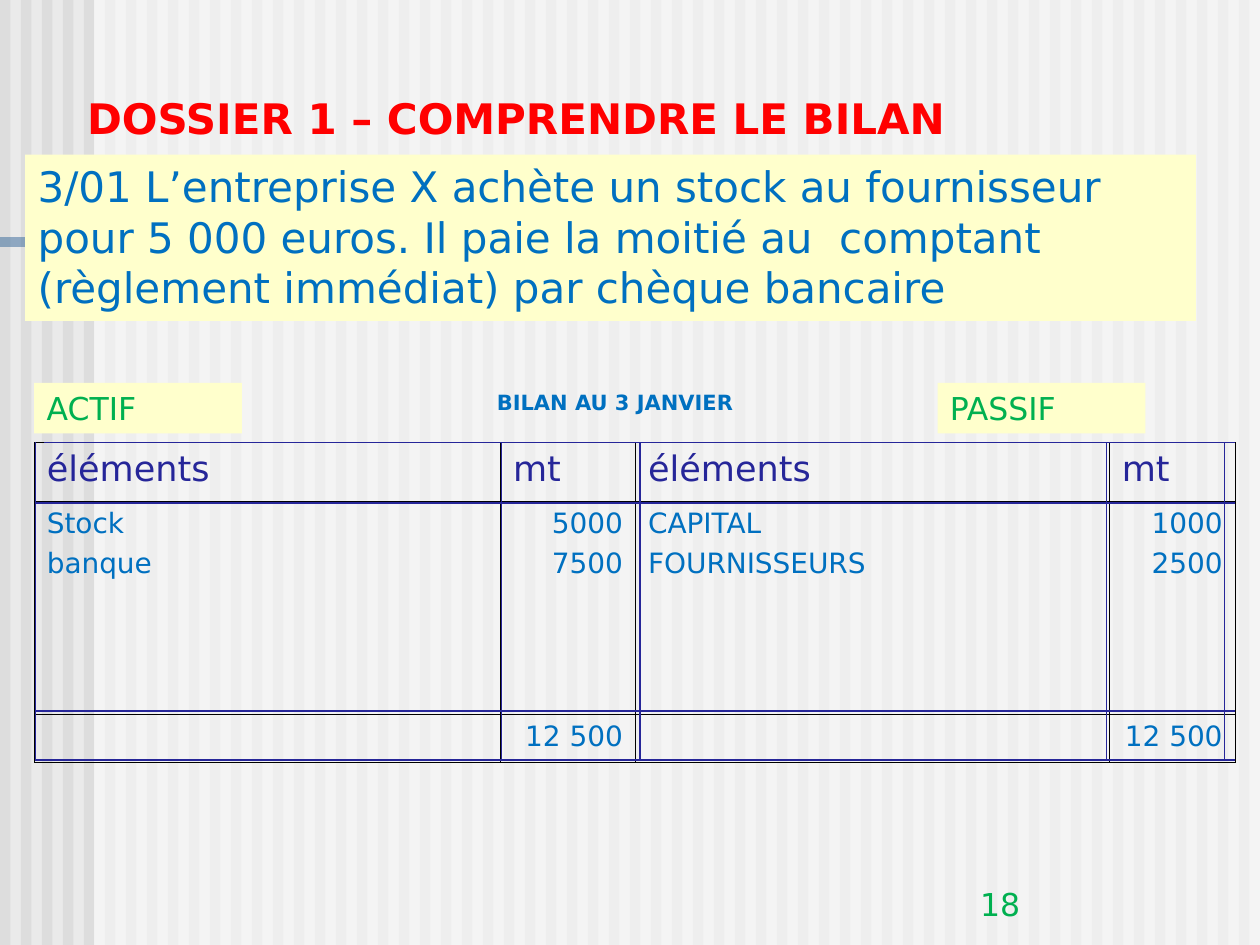
import collections
import dataclasses

import lxml.etree
import pptx
import pptx.dml.color
import pptx.enum.shapes
import pptx.enum.text
import pptx.oxml.ns
import pptx.util

Cm, Pt = pptx.util.Cm, pptx.util.Pt
qn = pptx.oxml.ns.qn
RECT = pptx.enum.shapes.MSO_SHAPE.RECTANGLE
LINE = pptx.enum.shapes.MSO_CONNECTOR.STRAIGHT
LEFT, MID, RIGHT = (pptx.enum.text.PP_ALIGN.LEFT, pptx.enum.text.PP_ALIGN.CENTER,
                    pptx.enum.text.PP_ALIGN.RIGHT)
TOP, LOW = pptx.enum.text.MSO_ANCHOR.TOP, pptx.enum.text.MSO_ANCHOR.BOTTOM

Box = collections.namedtuple("Box", "x y w h")


@dataclasses.dataclass(frozen=True)
class Theme:
    font: str = "DejaVu Sans"
    ground: str = "EAEAEA"
    stripe: str = "DDDDDD"
    veil: str = "FFFFFF"
    bar: str = "336699"
    title: str = "FF0000"
    note: str = "FFFFCC"
    blue: str = "0070C0"
    green: str = "00B050"
    navy: str = "262699"
    edge: str = "000000"
    big: int = 24
    head: int = 20
    label: int = 18
    body: int = 16
    small: int = 12
    rule: float = 0.75
    outer: float = 0.23
    inner: float = 0.11


THEME = Theme()


def rgb(code):
    return pptx.dml.color.RGBColor.from_string(code)


def span(box):
    return [Cm(side) for side in box]


def write(frame, text, size=THEME.body, color=THEME.blue, bold=False,
          align=LEFT, before=0, lead=None):
    """Fill a text frame, one paragraph for each line of text."""
    frame.word_wrap = True
    for i, line in enumerate(text.split("\n")):
        para = frame.add_paragraph() if i else frame.paragraphs[0]
        para.alignment = align
        para.space_before = Pt(before)
        if lead:
            para.line_spacing = lead
        run = para.add_run()
        run.text = line
        font = run.font
        font.name, font.size, font.bold = THEME.font, Pt(size), bold
        font.color.rgb = rgb(color)


def block(shapes, box, color, alpha=None):
    """Add a plain rectangle; alpha is its opacity in percent."""
    shape = shapes.add_shape(RECT, *span(box))
    shape.shadow.inherit = False
    shape.line.fill.background()
    shape.fill.solid()
    shape.fill.fore_color.rgb = rgb(color)
    if alpha is not None:
        tone = shape.element.spPr.find(".//" + qn("a:srgbClr"))
        lxml.etree.SubElement(tone, qn("a:alpha"), val=str(alpha * 1000))
    return shape


def scene(slide, box):
    """Draw the striped ground, its veil and the bar on the left."""
    slide.background.fill.solid()
    slide.background.fill.fore_color.rgb = rgb(THEME.ground)
    group = slide.shapes.add_group_shape()
    count = 60
    step = box.w / count
    for i in range(count):
        block(group.shapes, Box(box.x + i * step, box.y, step / 2, box.h), THEME.stripe)
    edge = 1.9
    block(group.shapes, Box(box.x + edge, box.y, box.w - edge, box.h), THEME.veil, 50)
    block(slide.shapes, Box(box.x, box.y + 4.78, 19.3, 0.2), THEME.bar, 50)


def title(slide, box, text):
    shape = slide.shapes.title
    shape.left, shape.top, shape.width, shape.height = span(box)
    shape.element.getparent().append(shape.element)  # in front of the scene
    frame = shape.text_frame
    frame.auto_size = pptx.enum.text.MSO_AUTO_SIZE.NONE
    frame.vertical_anchor = LOW
    write(frame, text, size=THEME.big, color=THEME.title, bold=True, before=15)


def panel(slide, box, text, **form):
    """Add text on a pale yellow ground."""
    frame = block(slide.shapes, box, THEME.note).text_frame
    frame.vertical_anchor = TOP
    write(frame, text, **form)


def label(slide, box, text, anchor=TOP, **form):
    frame = slide.shapes.add_textbox(*span(box)).text_frame
    frame.vertical_anchor = anchor
    write(frame, text, **form)


def frame_cell(cell, sides):
    """Draw the cell's borders; sides holds widths for left, right, top, bottom."""
    props = cell._tc.get_or_add_tcPr()
    for i, (tag, width) in enumerate(zip("LRTB", sides)):
        line = lxml.etree.Element(qn("a:ln" + tag), w=str(int(Pt(width))))
        fill = lxml.etree.SubElement(line, qn("a:solidFill"))
        lxml.etree.SubElement(fill, qn("a:srgbClr"), val=THEME.edge)
        props.insert(i, line)


def sheet(slide, box, cols, rows, cells):
    """Add the balance sheet table."""
    table = slide.shapes.add_table(len(rows), len(cols), *span(box)).table
    table.first_row = table.horz_banding = False
    for col, width in zip(table.columns, cols):
        col.width = Cm(width)
    for row, height in zip(table.rows, rows):
        row.height = Cm(height)
    last_r, last_c = len(rows) - 1, len(cols) - 1
    for r, line in enumerate(cells):
        for c, text in enumerate(line):
            cell = table.cell(r, c)
            cell.fill.background()
            ends = (c == 0, c == last_c, r == 0, r == last_r)
            frame_cell(cell, [THEME.outer if end else THEME.inner for end in ends])
            if r == 0:
                form = dict(size=THEME.head, color=THEME.navy, before=5)
            else:
                form = dict(align=RIGHT if c % 2 else LEFT, before=4)
            write(cell.text_frame, text, lead=1.01, **form)


def rule(slide, x1, y1, x2, y2):
    line = slide.shapes.add_connector(LINE, *span((x1, y1, x2, y2)))
    line.line.color.rgb = rgb(THEME.navy)
    line.line.width = Pt(THEME.rule)
    lxml.etree.SubElement(line.element.spPr, qn("a:effectLst"))


def grid(slide, box, across, down):
    """Rule the box: across holds heights, down holds distances from the left."""
    for y in reversed(across):
        start = box.x if y else box.x + 0.18
        rule(slide, start, box.y + y, box.x + box.w, box.y + y)
    for x in down:
        rule(slide, box.x + x, box.y, box.x + x, box.y + box.h)


def main():
    deck = pptx.Presentation()
    deck.slide_width, deck.slide_height = Cm(25.4), Cm(19.05)
    slide = deck.slides.add_slide(deck.slide_layouts[5])
    scene(slide, Box(0, 0, 25.4, 19.05))
    title(slide, Box(1.5, 1.73, 22.68, 1.27), "DOSSIER 1 – COMPRENDRE LE BILAN")

    sheet(slide, Box(0.69, 8.92, 24.21, 6.45),
          cols=(9.4, 2.72, 9.55, 2.54), rows=(1.19, 4.29, 0.97),
          cells=(("éléments", "mt", "éléments", "mt"),
                 ("Stock\nbanque", "5000\n7500", "CAPITAL\nFOURNISSEURS", "1000\n2500"),
                 ("", "12 500", "", "12 500")))
    for x, text in ((18.9, "PASSIF"), (0.69, "ACTIF")):
        panel(slide, Box(x, 7.72, 4.19, 1.02), text,
              size=THEME.label, color=THEME.green, before=11.2)
    label(slide, Box(6.1, 7.72, 12.6, 0.79), "BILAN AU 3 JANVIER",
          size=THEME.small, bold=True, align=MID, before=7.5)
    panel(slide, Box(0.51, 3.12, 23.6, 3.35),
          "3/01 L’entreprise X achète un stock au fournisseur pour 5 000 euros. "
          "Il paie la moitié au  comptant (règlement immédiat) par chèque bancaire",
          size=THEME.big, before=15)
    label(slide, Box(19.51, 17.45, 5.28, 1.27), "18", anchor=LOW,
          size=THEME.label, color=THEME.green)
    grid(slide, Box(0.71, 8.92, 24.18, 6.4),
         across=(0, 1.22, 5.41, 6.4), down=(0, 9.4, 12.19, 21.59, 23.98))
    deck.save("out.pptx")


if __name__ == "__main__":
    main()
